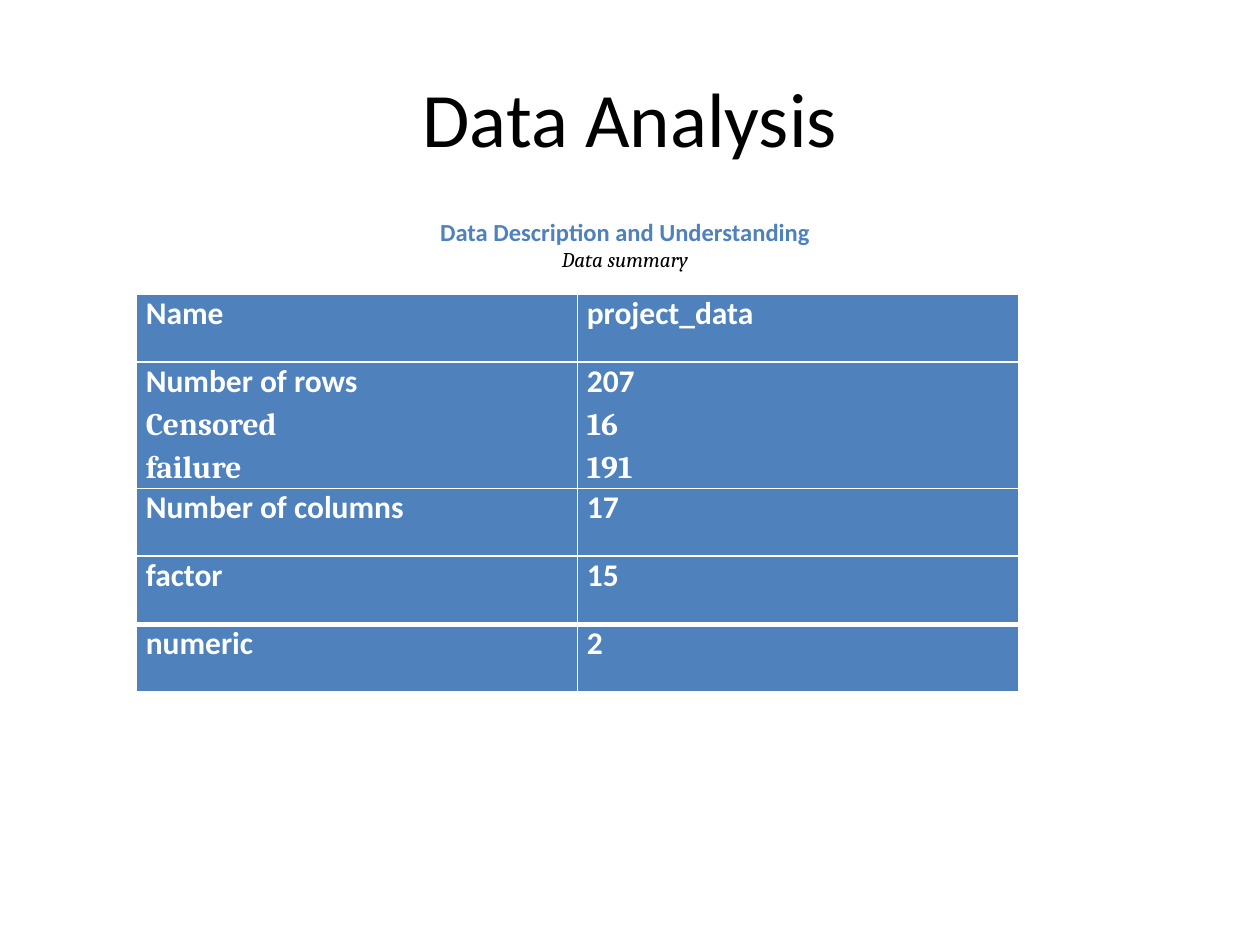
"""Build the Data Analysis slide with its data summary table."""
from lxml import etree
from pptx import Presentation
from pptx.dml.color import RGBColor
from pptx.enum.text import MSO_ANCHOR as Anchor, PP_ALIGN as Align
from pptx.oxml.ns import qn
from pptx.util import Cm, Pt

BLUE = RGBColor(0x4F, 0x81, 0xBD)
WHITE = RGBColor(0xFF, 0xFF, 0xFF)
BLACK = RGBColor(0, 0, 0)


def add_line(p, text, color, **font):
    r = p.add_run()
    r.text = text
    r.font.color.rgb = color
    for name, value in font.items():
        setattr(r.font, name, value)


def add_border(cell, side, width):
    ln = etree.SubElement(cell._tc.get_or_add_tcPr(), qn(f"a:{side}"), w=str(Pt(width)))
    fill = etree.SubElement(ln, qn("a:solidFill"))
    etree.SubElement(fill, qn("a:srgbClr"), val=str(WHITE))


prs = Presentation()
prs.slide_width, prs.slide_height = Cm(25.4), Cm(19.05)
slide = prs.slides.add_slide(prs.slide_layouts[6])

title = dict(size=Pt(44), name="Calibri")
heading = dict(size=Pt(14), name="Calibri", bold=True)
caption = dict(size=Pt(12), name="Cambria", italic=True)
boxes = [
    ((1.27, 0.76, 22.86, 3.18), {},
     [("Data Analysis", BLACK, title)]),
    ((1.27, 4.01, 22.66, 1.47),
     dict(margin_left=0, margin_top=Cm(0.36), margin_right=0, margin_bottom=0),
     [("Data Description and Understanding", BLUE, heading),
      ("Data summary", BLACK, caption)]),
]
for place, margins, lines in boxes:
    tf = slide.shapes.add_textbox(*map(Cm, place)).text_frame
    frame = dict(word_wrap=True, vertical_anchor=Anchor.MIDDLE, **margins)
    for name, value in frame.items():
        setattr(tf, name, value)
    for i, (text, color, font) in enumerate(lines):
        p = tf.add_paragraph() if i else tf.paragraphs[0]
        p.alignment = Align.CENTER
        add_line(p, text, color, **font)

rows = [
    (["Name"], ["project_data"]),
    (["Number of rows", "Censored", "failure"], ["207", "16", "191"]),
    (["Number of columns"], ["17"]),
    (["factor"], ["15"]),
    (["numeric"], ["2"]),
]
last = len(rows) - 1
table = slide.shapes.add_table(
    len(rows), 2, Cm(2.75), Cm(5.93), Cm(17.78), Cm(7.98)).table
for col in table.columns:
    col.width = Cm(8.89)
cell_format = dict(margin_left=Cm(0.19), margin_right=Cm(0.19),
                   margin_top=0, margin_bottom=0, vertical_anchor=Anchor.TOP)
for y, row in enumerate(rows):
    table.rows[y].height = Cm(2.5 if len(row[0]) > 1 else 1.37)
    for x, lines in enumerate(row):
        cell = table.cell(y, x)
        for name, value in cell_format.items():
            setattr(cell, name, value)
        widths = dict(lnL=1, lnR=1, lnT=3 if y == last else 1,
                      lnB=3 if y == last - 1 else 1)
        for side, width in widths.items():
            add_border(cell, side, width)
        cell.fill.solid()
        cell.fill.fore_color.rgb = BLUE
        tf = cell.text_frame
        for i, text in enumerate(lines):
            p = tf.add_paragraph() if i else tf.paragraphs[0]
            p.space_before = p.space_after = Pt(1.8)
            add_line(p, text, WHITE, size=Pt(18), bold=True,
                     name="Cambria" if i else "Calibri")

prs.save("out.pptx")
